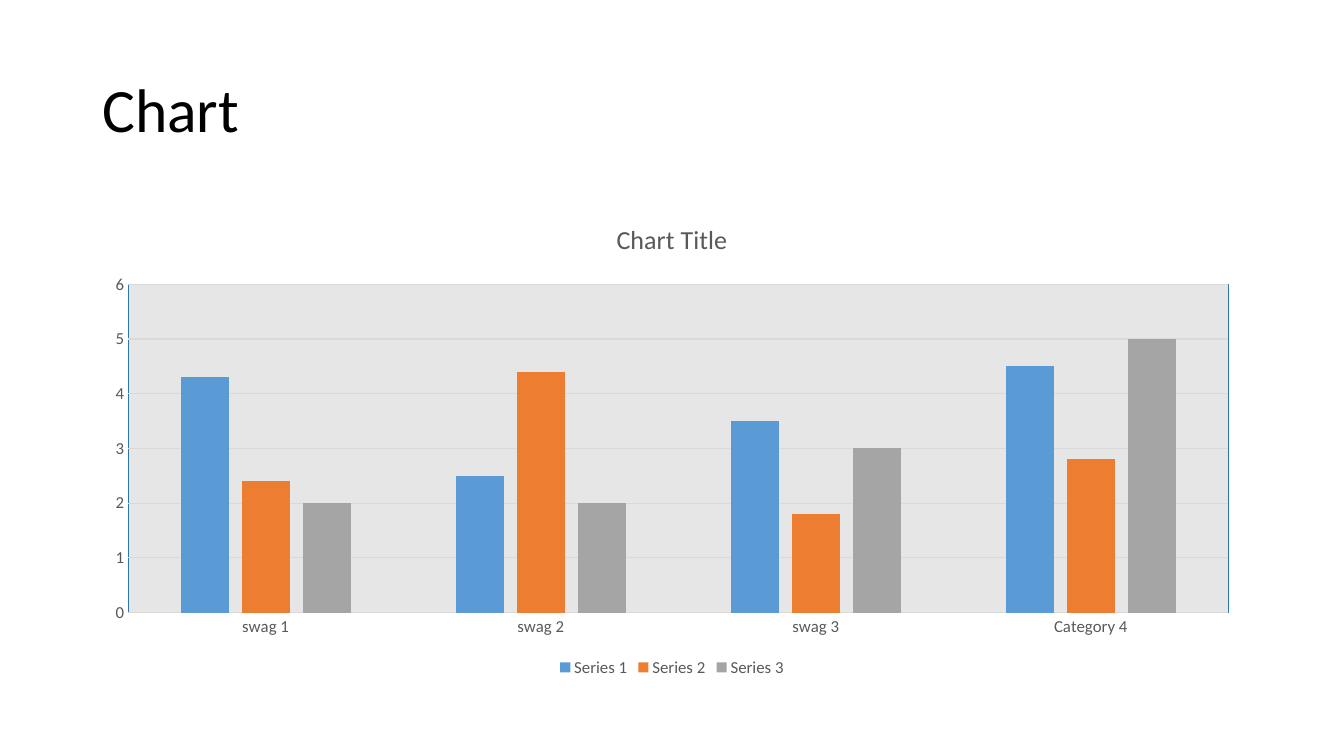
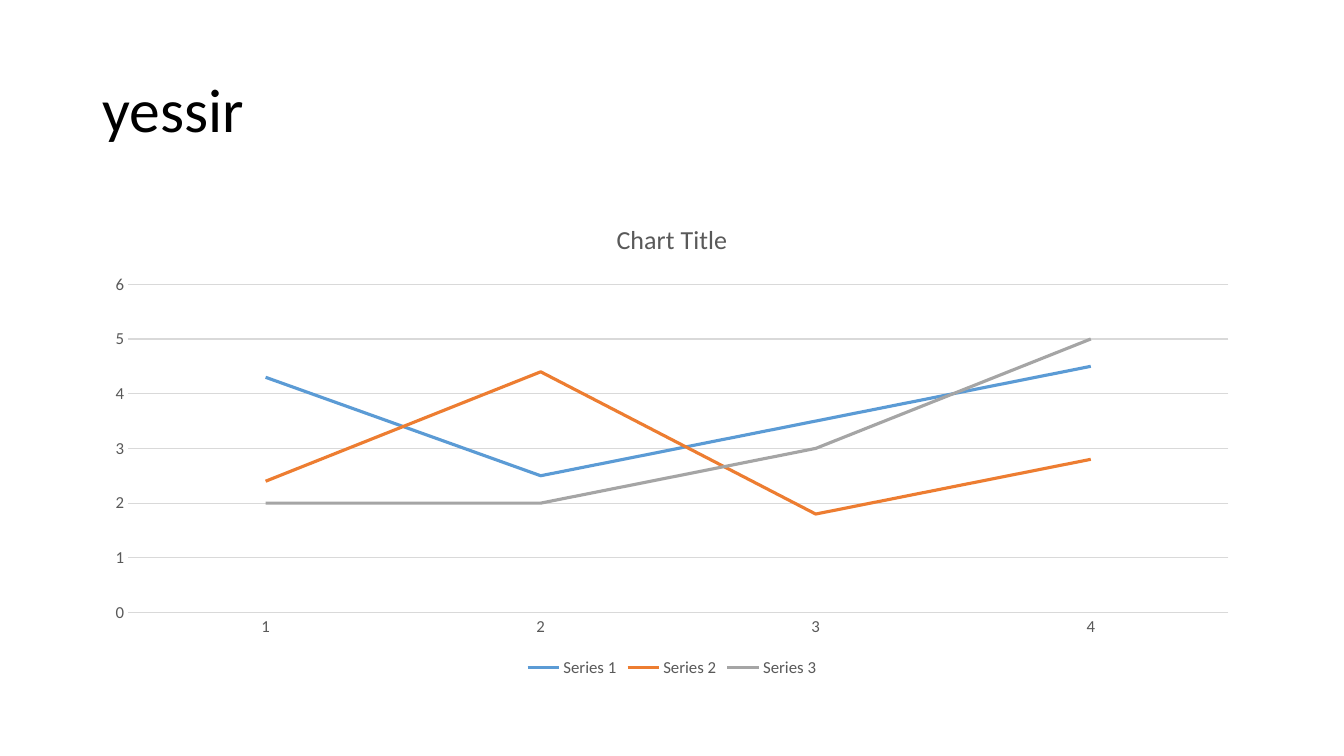
"""Build two slides, each with a title and a chart of the same three series."""
from pptx import Presentation
from pptx.chart.data import CategoryChartData
from pptx.dml.color import RGBColor
from pptx.enum.chart import XL_CHART_TYPE, XL_LEGEND_POSITION, XL_MARKER_STYLE, XL_TICK_MARK
from pptx.enum.text import MSO_ANCHOR
from pptx.oxml import parse_xml
from pptx.oxml.ns import nsdecls
from pptx.util import Emu, Pt

COLUMN, LINE = XL_CHART_TYPE.COLUMN_CLUSTERED, XL_CHART_TYPE.LINE
BOTTOM = XL_LEGEND_POSITION.BOTTOM
NO_MARKER = XL_MARKER_STYLE.NONE
NO_TICK = XL_TICK_MARK.NONE
MIDDLE = MSO_ANCHOR.MIDDLE

SERIES = [
    ("Series 1", (4.3, 2.5, 3.5, 4.5), "blue"),
    ("Series 2", (2.4, 4.4, 1.8, 2.8), "orange"),
    ("Series 3", (2, 2, 3, 5), "gray"),
]
SLIDES = [
    {"title": "Chart", "type": COLUMN,
     "categories": ["swag 1", "swag 2", "swag 3", "Category 4"]},
    {"title": "yessir", "type": LINE, "categories": ["1", "2", "3", "4"]},
]
CHART_TITLE = "Chart Title"

COLORS = {
    "title": "000000", "label": "595959", "grid": "D9D9D9",
    "plot": "E7E6E6", "plot_border": "2E75B6",
    "blue": "5B9BD5", "orange": "ED7D31", "gray": "A5A5A5",
}
FONT = "Calibri"
PX = 9525
SLIDE_SIZE = (1280, 720)
TITLE_BOX = (88, 38, 1104, 139)
CHART_BOX = (88, 192, 1104, 457)


def px(lengths):
    return [Emu(length * PX) for length in lengths]


def color(name):
    return RGBColor.from_string(COLORS[name])


def set_font(font, size, color_name):
    font.name = FONT
    font.size = Pt(size)
    font.bold = False
    font.color.rgb = color(color_name)


def set_line(line, color_name, width):
    line.color.rgb = color(color_name)
    line.width = Pt(width)


def add_title(slide, text):
    frame = slide.shapes.add_textbox(*px(TITLE_BOX)).text_frame
    frame.word_wrap = True
    frame.vertical_anchor = MIDDLE
    paragraph = frame.paragraphs[0]
    paragraph.text = text
    paragraph.line_spacing = 0.9
    set_font(paragraph.font, 44, "title")


def style_axes(chart):
    for axis in (chart.category_axis, chart.value_axis):
        axis.major_tick_mark = axis.minor_tick_mark = NO_TICK
        set_font(axis.tick_labels.font, 12, "label")
    set_line(chart.category_axis.format.line, "grid", 0.75)
    value_axis = chart.value_axis
    value_axis.minimum_scale, value_axis.maximum_scale = 0, 6
    value_axis.major_unit = 1
    value_axis.format.line.fill.background()
    set_line(value_axis.major_gridlines.format.line, "grid", 0.75)


def fill_plot_area(chart):
    chart._chartSpace.chart.plotArea.append(parse_xml(
        f'<c:spPr {nsdecls("c", "a")}>'
        f'<a:solidFill><a:srgbClr val="{COLORS["plot"]}"/></a:solidFill>'
        f'<a:ln w="9525"><a:solidFill><a:srgbClr val="{COLORS["plot_border"]}"/>'
        '</a:solidFill></a:ln></c:spPr>'))


def style_series(chart, is_line):
    plot = chart.plots[0]
    plot.vary_by_categories = False
    if not is_line:
        plot.gap_width, plot.overlap = 219, -27
        fill_plot_area(chart)
    for series, (_, _, color_name) in zip(plot.series, SERIES):
        if is_line:
            series.smooth = False
            series.marker.style = NO_MARKER
            set_line(series.format.line, color_name, 2.25)
        else:
            series.format.fill.solid()
            series.format.fill.fore_color.rgb = color(color_name)


def add_chart(slide, chart_type, categories):
    data = CategoryChartData()
    data.categories = categories
    for name, values, _ in SERIES:
        data.add_series(name, values)
    chart = slide.shapes.add_chart(chart_type, *px(CHART_BOX), data).chart
    set_font(chart.font, 10, "title")
    title_frame = chart.chart_title.text_frame
    title_frame.text = CHART_TITLE
    set_font(title_frame.paragraphs[0].font, 18.6, "label")
    chart.has_legend = True
    chart.legend.position = BOTTOM
    chart.legend.include_in_layout = False
    set_font(chart.legend.font, 12, "label")
    style_axes(chart)
    style_series(chart, chart_type == LINE)


def main():
    presentation = Presentation()
    presentation.slide_width, presentation.slide_height = px(SLIDE_SIZE)
    for content in SLIDES:
        slide = presentation.slides.add_slide(presentation.slide_layouts[6])
        add_title(slide, content["title"])
        add_chart(slide, content["type"], content["categories"])
    presentation.save("out.pptx")


if __name__ == "__main__":
    main()
